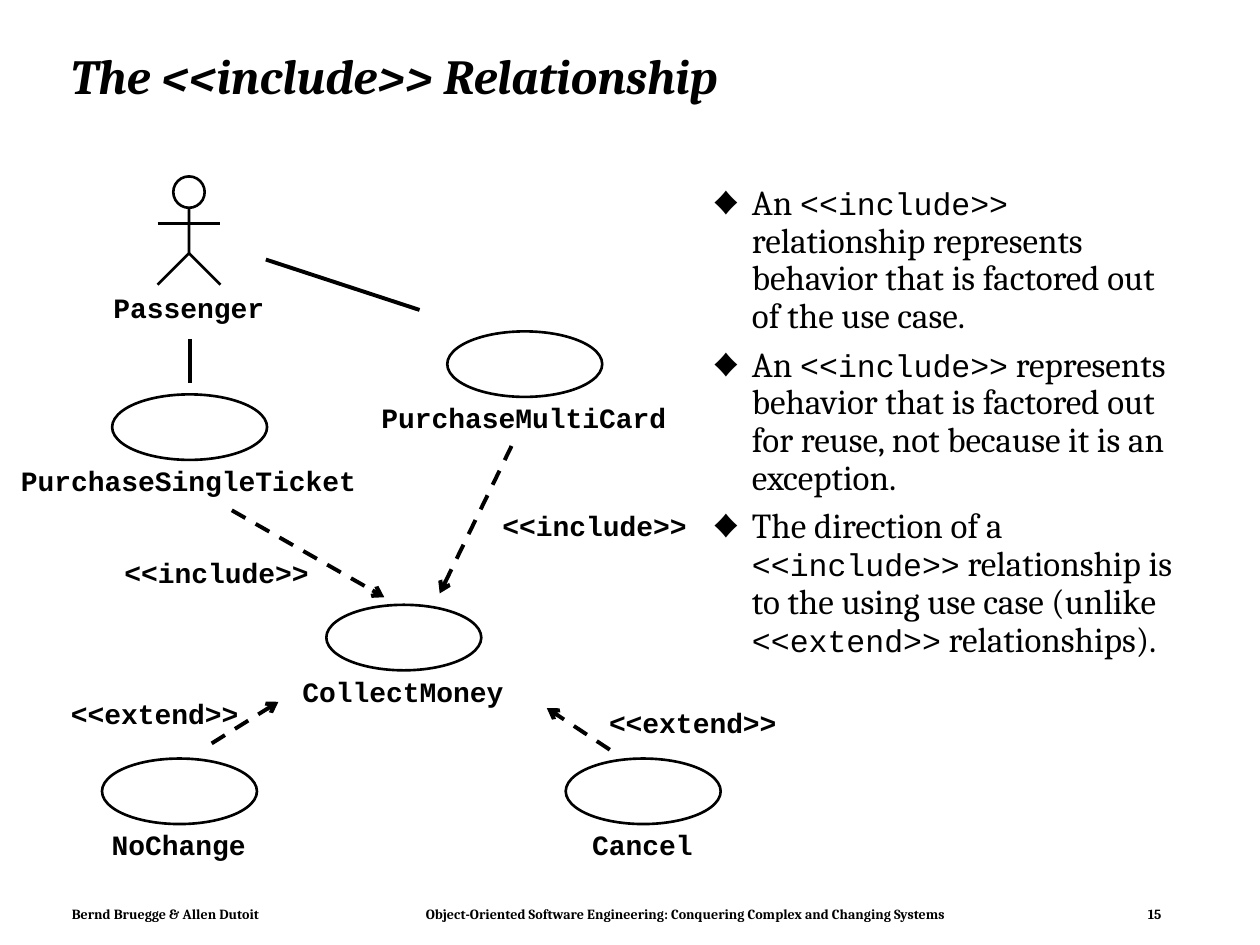
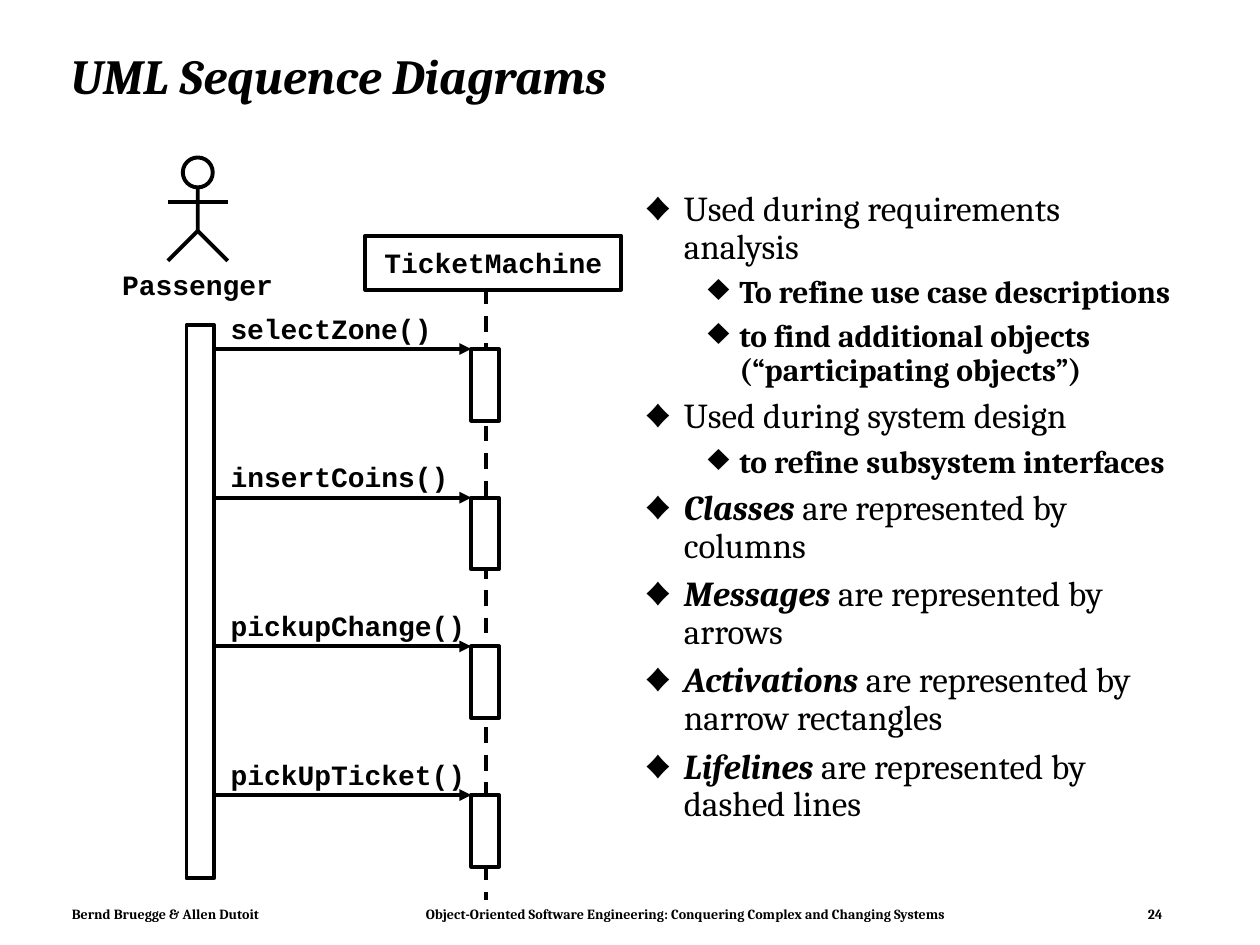
import pptx
import pptx.util
import pptx.dml.color
import pptx.enum.dml
import pptx.enum.shapes
import pptx.enum.text
import pptx.oxml.ns
import lxml.etree

SHAPE = pptx.enum.shapes.MSO_SHAPE
ALIGN = pptx.enum.text.PP_ALIGN
ANCHOR = pptx.enum.text.MSO_ANCHOR
BLACK = pptx.dml.color.RGBColor(0x00, 0x00, 0x00)
WHITE = pptx.dml.color.RGBColor(0xFF, 0xFF, 0xFF)
SERIF, MONO = "Cambria", "Courier New"
THIN, THICK = 1.5, 2.25

# ---- Shared content
AUTHORS = "Bernd Bruegge & Allen Dutoit"
BOOK = "Object-Oriented Software Engineering: Conquering Complex and Changing Systems"
INCLUDE, EXTEND = "<<include>>", "<<extend>>"

# ---- Include slide: places are inches (centre x, top) and line ends
USE_CASES = [
    ("PurchaseSingleTicket", 1.5, 3.13),
    ("PurchaseMultiCard", 4.16, 2.63),
    ("CollectMoney", 3.2, 4.8),
    ("NoChange", 1.42, 6.02),
    ("Cancel", 5.1, 6.02),
]
ASSOCIATIONS = [(1.51, 2.69, 1.51, 3.04), (2.11, 2.06, 3.33, 2.46)]
DEPENDENCIES = [
    (INCLUDE, (1.72, 4.41), (1.84, 4.05, 3.05, 4.74)),
    (INCLUDE, (4.72, 4.04), (4.06, 3.54, 3.49, 4.71)),
    (EXTEND, (1.23, 5.53), (1.68, 5.9, 2.21, 5.57)),
    (EXTEND, (5.5, 5.6), (4.84, 5.95, 4.34, 5.62)),
]
# Each bullet is (level, [(text, style), ...])
INCLUDE_POINTS = [
    (0, [("An ", "plain"), (INCLUDE, "code"),
         (" relationship represents behavior that is factored out of the use case.", "plain")]),
    (0, [("An ", "plain"), (INCLUDE, "code"),
         (" represents behavior that is factored out for reuse, "
          "not because it is an exception.", "plain")]),
    (0, [("The direction of a ", "plain"), (INCLUDE, "code"),
         (" relationship is to the using use case (unlike ", "plain"),
         (EXTEND, "code"), (" relationships).", "plain")]),
]

# ---- Sequence slide
MESSAGES = ["selectZone()", "insertCoins()", "pickupChange()", "pickUpTicket()"]
SEQUENCE_POINTS = [
    (0, [("Used during requirements analysis", "plain")]),
    (1, [("To refine use case descriptions", "detail")]),
    (1, [("to find additional objects (“participating objects”)", "detail")]),
    (0, [("Used during system design", "plain")]),
    (1, [("to refine subsystem interfaces", "detail")]),
] + [
    (0, [(term, "term"), (f" are represented by {drawn_as}", "plain")])
    for term, drawn_as in [("Classes", "columns"), ("Messages", "arrows"),
                           ("Activations", "narrow rectangles"),
                           ("Lifelines", "dashed lines")]
]

# Style: font, size, bold, italic
STYLES = {
    "title": (SERIF, 28, True, True),
    "footer": (SERIF, 8, True, False),
    "label": (MONO, 16, True, False),
    "plain": (SERIF, 20, False, False),
    "code": (MONO, 18, False, False),
    "detail": (SERIF, 18, True, False),
    "term": (SERIF, 20, True, True),
}
# Level: bullet font (None is the symbol font), size in percent,
# left margin, hanging indent, space before
DIAMOND = "♦"
BULLETS = [(SERIF, 75, 0.31, 0.31, 6), (None, 120, 0.75, 0.25, 5.4)]


def inches(*lengths):
    return [pptx.util.Inches(length) for length in lengths]


def style_run(run, style):
    run.font.name, size, run.font.bold, run.font.italic = STYLES[style]
    run.font.size = pptx.util.Pt(size)
    run.font.color.rgb = BLACK


def add_xml(parent, tag, **attributes):
    return lxml.etree.SubElement(parent, pptx.oxml.ns.qn(tag), attributes)


def set_insets(frame, side, top):
    frame.margin_left = frame.margin_right = pptx.util.Inches(side)
    frame.margin_top = frame.margin_bottom = pptx.util.Inches(top)


def outline(shape, width, fill=None):
    shape.shadow.inherit = False
    if fill is None:
        shape.fill.background()
    else:
        shape.fill.solid()
        shape.fill.fore_color.rgb = fill
    shape.line.color.rgb = BLACK
    shape.line.width = pptx.util.Pt(width)
    return shape


def add_outline(shapes, kind, box, width, fill=None):
    return outline(shapes.add_shape(kind, *inches(*box)), width, fill)


def add_line(shapes, ends, width, dashed=False, arrow=None):
    line = shapes.add_connector(pptx.enum.shapes.MSO_CONNECTOR.STRAIGHT, *inches(*ends))
    line.line.color.rgb = BLACK
    line.line.width = pptx.util.Pt(width)
    if dashed:
        line.line.dash_style = pptx.enum.dml.MSO_LINE.DASH
    if arrow:
        add_xml(line.line._get_or_add_ln(), "a:tailEnd", type=arrow)
    add_xml(line._element.spPr, "a:effectLst")


def text_width(text):
    """Width of a label: a monospaced letter is 0.6 of its size."""
    return len(text) * 0.6 * STYLES["label"][1] / 72


def add_label(shapes, text, left, top):
    label = shapes.add_textbox(*inches(left, top, text_width(text), 0.27))
    frame = label.text_frame
    set_insets(frame, 0, 0)
    frame.word_wrap = False
    frame.text = text
    style_run(frame.paragraphs[0].runs[0], "label")


def add_centred_label(shapes, text, centre, top):
    add_label(shapes, text, centre - text_width(text) / 2, top)


def add_actor(slide, name, centre, top, height, width):
    """Stick figure, proportioned by its height, with its name below."""
    parts = slide.shapes.add_group_shape().shapes
    head = 0.29 * height
    neck, arms, hip, feet = (top + share * height for share in (0.21, 0.435, 0.71, 1))
    reach = head
    body = parts.build_freeform(*inches(centre, neck))
    body.add_line_segments([inches(centre, hip), inches(centre - reach, feet)], close=False)
    outline(body.convert_to_shape(), width)
    add_line(parts, (centre, hip, centre + reach, feet), width)
    add_line(parts, (centre - reach, arms, centre + reach, arms), width)
    add_outline(parts, SHAPE.OVAL, (centre - head / 2, top, head, head), width, WHITE)
    add_centred_label(parts, name, centre, feet + 0.05)


def add_use_case(slide, name, centre, top):
    parts = slide.shapes.add_group_shape().shapes
    add_outline(parts, SHAPE.OVAL, (centre - 0.61, top, 1.23, 0.52), THIN)
    add_centred_label(parts, name, centre, top + 0.55)


def add_points(slide, box, points):
    frame = slide.shapes.add_textbox(*inches(*box)).text_frame
    set_insets(frame, 0.1, 0.05)
    frame.word_wrap = True
    for index, (level, pieces) in enumerate(points):
        point = frame.paragraphs[0] if index == 0 else frame.add_paragraph()
        font, percent, margin, hanging, space = BULLETS[level]
        point.level = level
        point.line_spacing = 0.9
        point.space_before = pptx.util.Pt(space)
        properties = point._p.get_or_add_pPr()
        properties.set("marL", str(pptx.util.Inches(margin)))
        properties.set("indent", str(-pptx.util.Inches(hanging)))
        add_xml(add_xml(properties, "a:buClr"), "a:srgbClr", val=str(BLACK))
        add_xml(properties, "a:buSzPct", val=str(percent * 1000))
        if font:
            add_xml(properties, "a:buFont", typeface=font)
        add_xml(properties, "a:buChar", char=DIAMOND)
        for text, style in pieces:
            run = point.add_run()
            run.text = text
            style_run(run, style)


def add_slide(title, number):
    slide = deck.slides.add_slide(deck.slide_layouts[5])
    heading = slide.shapes.title
    heading.left, heading.top, heading.width, heading.height = inches(0.46, 0.24, 8.92, 0.77)
    frame = heading.text_frame
    set_insets(frame, 0.1, 0.05)
    frame.auto_size = pptx.enum.text.MSO_AUTO_SIZE.NONE
    frame.vertical_anchor = ANCHOR.MIDDLE
    frame.text = title
    frame.paragraphs[0].alignment = ALIGN.LEFT
    frame.paragraphs[0].line_spacing = 0.9
    style_run(frame.paragraphs[0].runs[0], "title")

    # Footer: one line with tab stops for book and number
    footer = slide.shapes.add_textbox(*inches(0.49, 7.15, 8.83, 0.21)).text_frame
    set_insets(footer, 0.08, 0.04)
    footer.word_wrap = True
    footer.text = f"{AUTHORS}\t{BOOK}\t{number}"
    line = footer.paragraphs[0]
    style_run(line.runs[0], "footer")
    stops = add_xml(line._p.get_or_add_pPr(), "a:tabLst")
    for position in inches(2.81, 8.54):
        add_xml(stops, "a:tab", pos=str(position), algn="l")
    return slide


deck = pptx.Presentation()
deck.slide_width, deck.slide_height = inches(10, 7.5)

# ---- Include relationship
include = add_slide("The <<include>> Relationship", 15)
add_actor(include, "Passenger", 1.5, 1.4, 0.86, THIN)
for use_case in USE_CASES:
    add_use_case(include, *use_case)
for ends in ASSOCIATIONS:
    add_line(include.shapes, ends, THICK)
for stereotype, (centre, top), ends in DEPENDENCIES:
    add_line(include.shapes, ends, THICK, dashed=True, arrow="arrow")
    add_centred_label(include.shapes, stereotype, centre, top)
add_points(include, (5.56, 1.42, 3.85, 5.38), INCLUDE_POINTS)

# ---- Sequence diagram
sequence = add_slide("UML Sequence Diagrams", 24)
add_points(sequence, (5.02, 1.47, 4.43, 5.25), SEQUENCE_POINTS)
add_actor(sequence, "Passenger", 1.57, 1.25, 0.82, THICK)
BAR_WIDTH, PASSENGER_LEFT, MACHINE_LEFT = 0.22, 1.48, 3.74
FIRST_CALL, CALL_PITCH = 2.77, 1.18

machine = add_outline(sequence.shapes, SHAPE.RECTANGLE, (2.9, 1.87, 2.03, 0.43), THICK)
set_insets(machine.text_frame, 0, 0)
machine.text_frame.word_wrap = False
machine.text_frame.vertical_anchor = ANCHOR.MIDDLE
machine.text_frame.text = "TicketMachine"
machine.text_frame.paragraphs[0].alignment = ALIGN.CENTER
style_run(machine.text_frame.paragraphs[0].runs[0], "label")

add_line(sequence.shapes, (3.86, 2.29, 3.86, 7.14), THICK, dashed=True)
add_outline(sequence.shapes, SHAPE.RECTANGLE,
            (PASSENGER_LEFT, 2.58, BAR_WIDTH, 4.39), THICK, WHITE)
for index, message in enumerate(MESSAGES):
    call = FIRST_CALL + index * CALL_PITCH
    add_outline(sequence.shapes, SHAPE.RECTANGLE,
                (MACHINE_LEFT, call, BAR_WIDTH, 0.57), THICK, WHITE)
    add_line(sequence.shapes, (PASSENGER_LEFT + BAR_WIDTH, call, MACHINE_LEFT, call),
             THICK, arrow="triangle")
    add_label(sequence.shapes, message, 1.83, call - 0.3)

deck.save("out.pptx")
